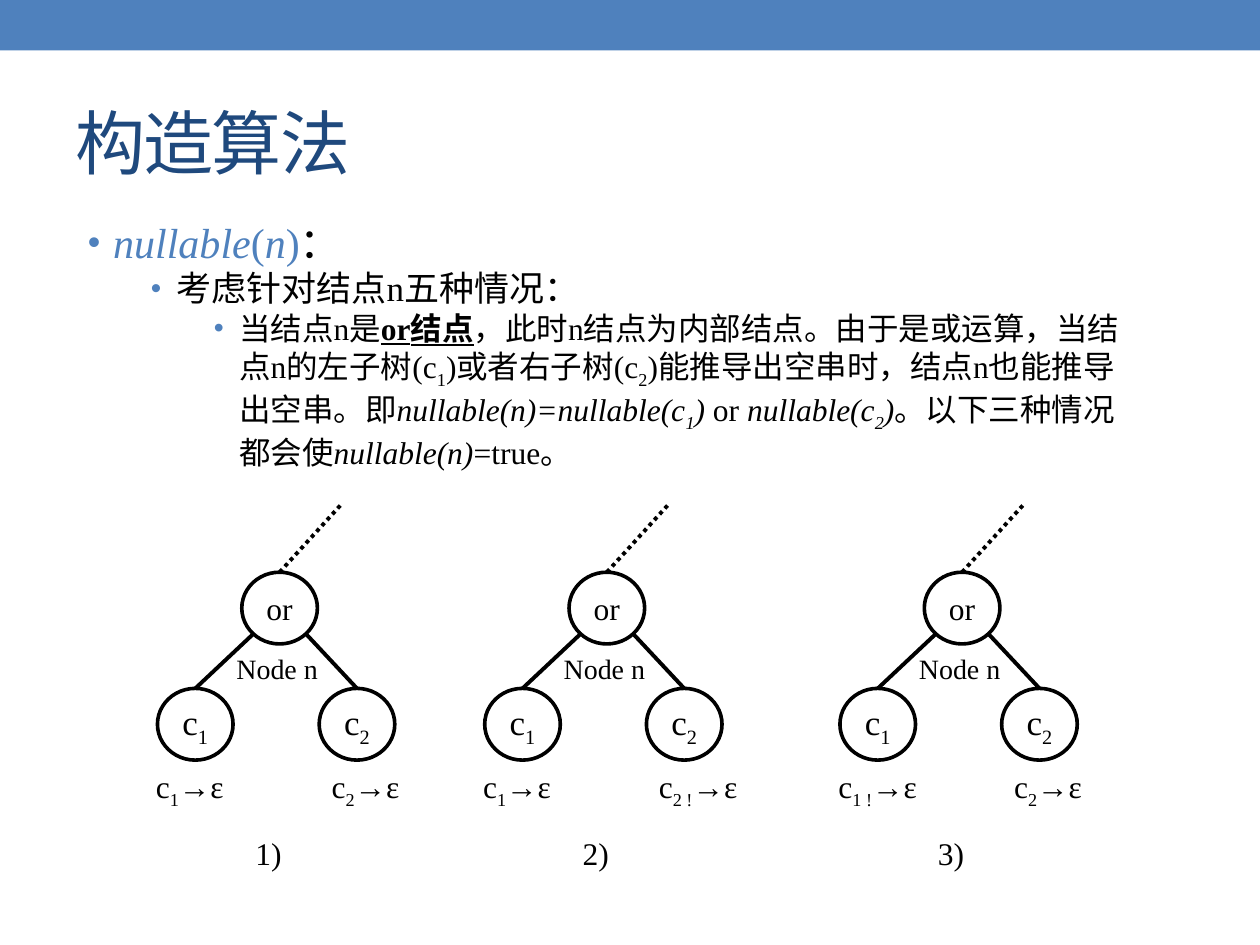
from lxml.etree import SubElement
from pptx import Presentation
from pptx.dml.color import RGBColor
from pptx.enum.dml import MSO_LINE_DASH_STYLE as Dash
from pptx.enum.shapes import MSO_CONNECTOR as Connector, MSO_SHAPE as Shape
from pptx.enum.text import MSO_ANCHOR as Anchor, MSO_AUTO_SIZE as AutoSize, PP_ALIGN as Align
from pptx.oxml.ns import qn
from pptx.util import Pt

BLUE = RGBColor(0x4F, 0x81, 0xBD)
NAVY = RGBColor(0x1F, 0x49, 0x7D)
BLACK = RGBColor(0, 0, 0)
FONT = "Times New Roman"

PLAIN, ITALIC = {}, {"italic": True}
STRONG = {"bold": True, "underline": True}
SUB = {"baseline": -25}
ITALIC_SUB = {**ITALIC, **SUB}
ACCENT = {"color": BLUE}
ACCENT_ITALIC = {**ACCENT, **ITALIC}

BODY = [
    (24, 85, 14.4, [("nullable", ACCENT_ITALIC), ("(", ACCENT), ("n", ACCENT_ITALIC),
                    (")", ACCENT), ("：", PLAIN)]),
    (20, 85, 50.4, [("考虑针对结点n五种情况：", PLAIN)]),
    (18, 90, 86.4, [
        ("当结点n是", PLAIN), ("or结点", STRONG),
        ("，此时n结点为内部结点。由于是或运算，当结点n的左子树(c", PLAIN), ("1", SUB),
        (")或者右子树(c", PLAIN), ("2", SUB),
        (")能推导出空串时，结点n也能推导出空串。即", PLAIN),
        ("nullable(n)=nullable(c", ITALIC), ("1", ITALIC_SUB), (")", ITALIC),
        ("\N{NO-BREAK SPACE}or\N{NO-BREAK SPACE}", PLAIN),
        ("nullable(c", ITALIC), ("2", ITALIC_SUB), (")", ITALIC),
        ("。以下三种情况都会使", PLAIN), ("nullable(n)", ITALIC), ("=true。", PLAIN)]),
]
TREES = [(82, "1", "2", "1)"), (269, "1", "2 !", "2)"), (472, "1 !", "2", "3)")]


def write_runs(paragraph, size, runs):
    """Add runs of (text, format) to a paragraph."""
    for text, formats in runs:
        run = paragraph.add_run()
        run.text = text
        values = {"name": FONT, "size": Pt(size), **formats}
        run.font.color.rgb = values.pop("color", BLACK)
        baseline = values.pop("baseline", None)
        for name, value in values.items():
            setattr(run.font, name, value)
        if baseline:
            run._r.get_or_add_rPr().set("baseline", str(baseline * 1000))


def add_bullet(paragraph, level, margin, percent):
    """Give a paragraph its level, hanging indent and blue bullet."""
    paragraph.level = level
    properties = paragraph._p.get_or_add_pPr()
    properties.set("marL", str(Pt(margin)))
    properties.set("indent", str(Pt(-14.4)))
    color = SubElement(properties, qn("a:buClr"))
    SubElement(color, qn("a:srgbClr"), val=str(BLUE))
    SubElement(properties, qn("a:buSzPct"), val=str(percent * 1000))
    SubElement(properties, qn("a:buFont"), typeface="Arial")
    SubElement(properties, qn("a:buChar"), char="•")


def add_banner(slide, left, top, width, height):
    """Draw the blue band along the top edge."""
    banner = slide.shapes.add_shape(Shape.RECTANGLE, Pt(left), Pt(top), Pt(width), Pt(height))
    banner.shadow.inherit = False
    banner.fill.solid()
    banner.fill.fore_color.rgb = BLUE
    banner.line.fill.background()


def add_title(slide, left, top, width, height):
    """Place and format the title placeholder."""
    title = slide.shapes.title
    box = {"left": left, "top": top, "width": width, "height": height}
    for name, value in box.items():
        setattr(title, name, Pt(value))
    title.text_frame.vertical_anchor = Anchor.MIDDLE
    paragraph = title.text_frame.paragraphs[0]
    paragraph.alignment = Align.LEFT
    write_runs(paragraph, 40, [("构造算法", {"color": NAVY})])
    paragraph.runs[0]._r.get_or_add_rPr().set("spc", "-100")


def add_body(slide, left, top, width, height):
    """Write the three levels of bulleted text."""
    frame = slide.shapes.add_textbox(Pt(left), Pt(top), Pt(width), Pt(height)).text_frame
    frame.word_wrap = True
    for level, (size, percent, margin, runs) in enumerate(BODY):
        paragraph = frame.add_paragraph() if level else frame.paragraphs[0]
        add_bullet(paragraph, level, margin, percent)
        write_runs(paragraph, size, runs)


def add_node(shapes, left, top, size, runs):
    """Draw a round tree node with centred text."""
    node = shapes.add_shape(Shape.OVAL, Pt(left), Pt(top), Pt(43.2), Pt(41))
    node.shadow.inherit = False
    node.fill.background()
    node.line.color.rgb = BLACK
    node.line.width = Pt(2.08)
    frame = node.text_frame
    frame.vertical_anchor = Anchor.MIDDLE
    frame.word_wrap = False
    frame.paragraphs[0].alignment = Align.CENTER
    write_runs(frame.paragraphs[0], size, runs)
    return node


def add_edge(shapes, x1, y1, x2, y2):
    """Draw a black tree edge."""
    edge = shapes.add_connector(Connector.STRAIGHT, Pt(x1), Pt(y1), Pt(x2), Pt(y2))
    edge.line.color.rgb = BLACK
    edge.line.width = Pt(2.25)
    SubElement(edge._element.spPr, qn("a:effectLst"))
    return edge


def add_label(shapes, left, top, width, height, size, runs):
    """Write a left-aligned label."""
    frame = shapes.add_textbox(Pt(left), Pt(top), Pt(width), Pt(height)).text_frame
    frame.word_wrap = True
    frame.auto_size = AutoSize.SHAPE_TO_FIT_TEXT
    write_runs(frame.paragraphs[0], size, runs)


def add_tree(slide, left, top, first, second, caption):
    """Draw one or-tree with its two children, conditions and number."""
    shapes = slide.shapes.add_group_shape().shapes
    root = add_node(shapes, left + 56.2, top + 39.6, 18, [("or", PLAIN)])
    stem = add_edge(shapes, left + 77.8, top + 39.6, left + 113.8, top)
    stem.line.dash_style = Dash.ROUND_DOT
    stem.begin_connect(root, 0)
    add_label(shapes, left + 46, top + 81.4, 121.7, 26.6, 16, [("Node n", PLAIN)])
    children = [("1", first, 8, 0, 62.6), ("2", second, 100.4, 100.4, 93)]
    for number, condition, node_x, label_x, edge_x in children:
        child = add_node(shapes, left + node_x, top + 106, 20, [("c", PLAIN), (number, SUB)])
        edge = add_edge(shapes, left + edge_x, top + 75, left + node_x + 21.6, top + 106)
        edge.end_connect(child, 0)
        label_width = 78 if "!" in condition else 67
        add_label(shapes, left + label_x, top + 147.6, label_width, 29, 18,
                  [("c", PLAIN), (condition, SUB), ("→ε", PLAIN)])
    add_label(shapes, left + 56.8, top + 185.8, 57, 29, 18, [(caption, PLAIN)])


def main():
    """Build and save the slide."""
    presentation = Presentation()
    presentation.slide_width, presentation.slide_height = Pt(720), Pt(540)
    slide = presentation.slides.add_slide(presentation.slide_layouts[5])
    add_banner(slide, 0, 0, 720, 28.8)
    add_title(slide, 36, 42, 648, 78)
    add_body(slide, 43.2, 120.2, 607.7, 402.5)
    for left, first, second, caption in TREES:
        add_tree(slide, left, 287.4, first, second, caption)
    presentation.save("out.pptx")


if __name__ == "__main__":
    main()
